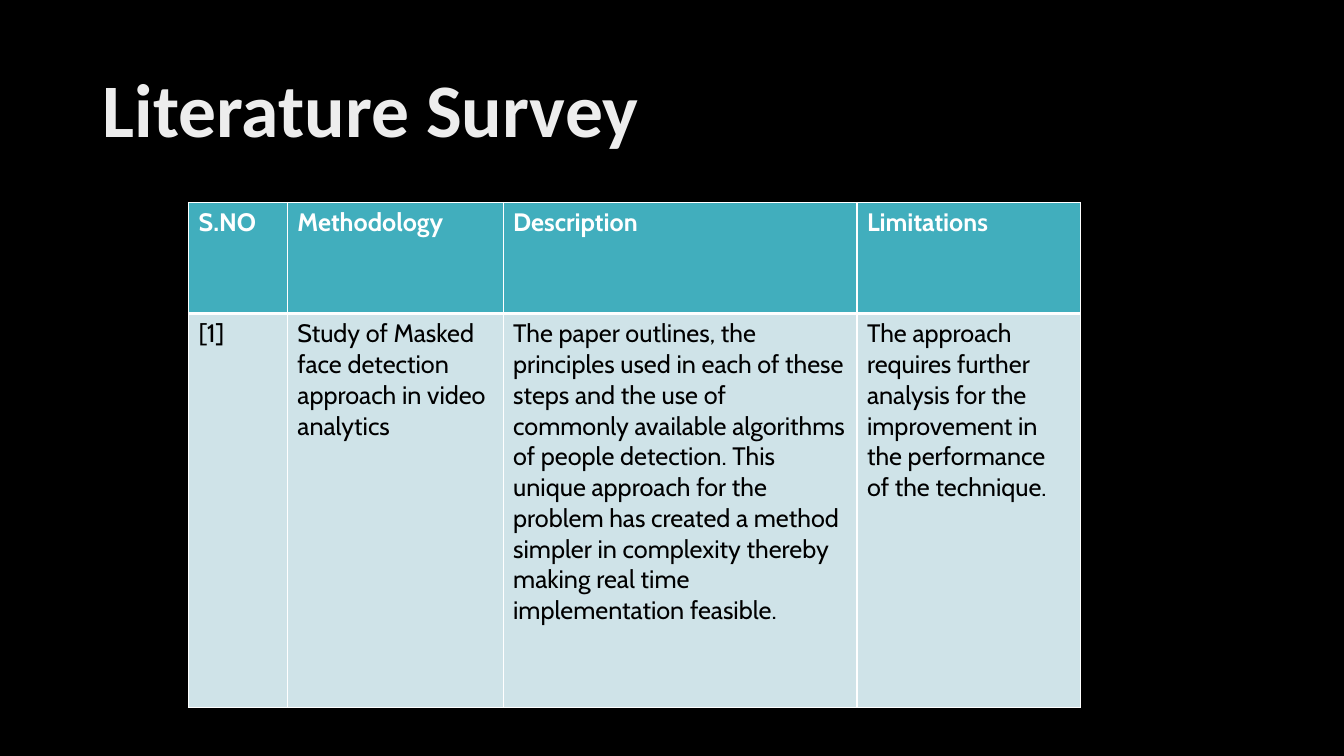
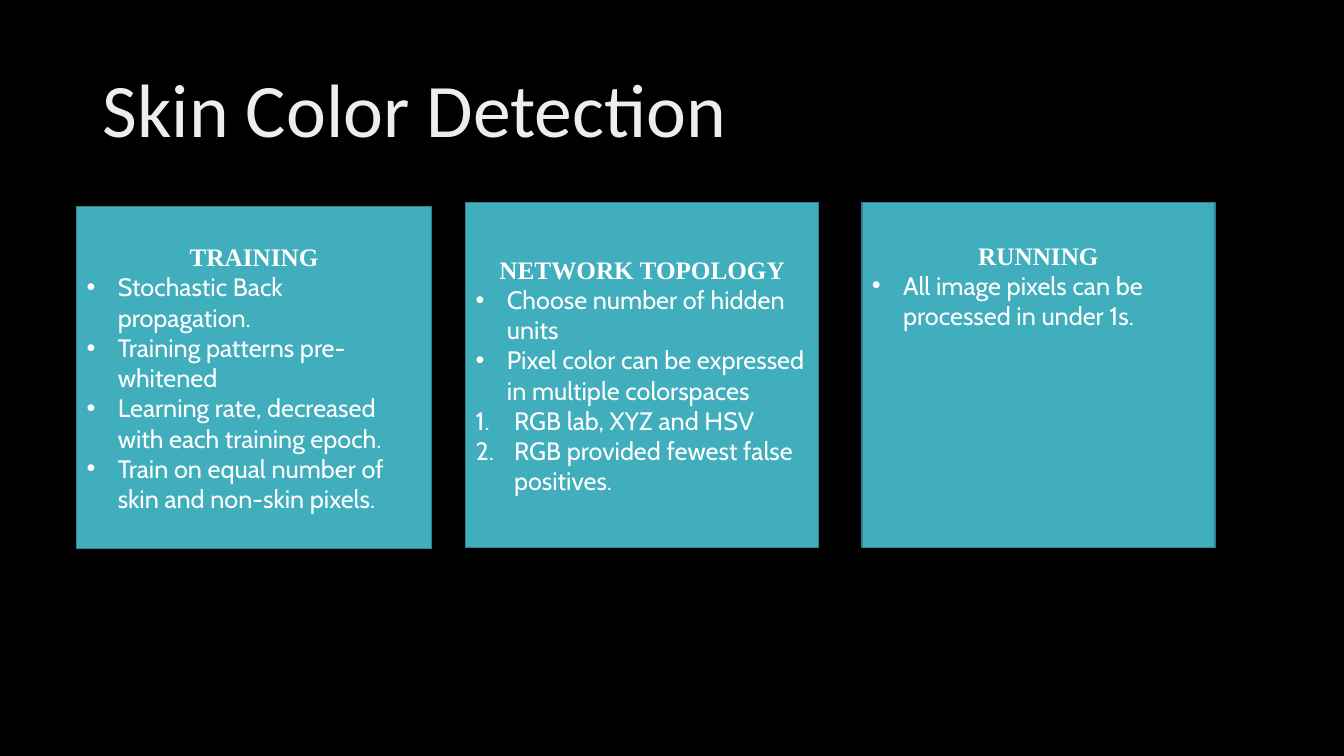
from dataclasses import dataclass

from lxml.etree import SubElement
from pptx import Presentation
from pptx.dml.color import RGBColor
from pptx.enum.shapes import MSO_SHAPE
from pptx.enum.text import MSO_ANCHOR, PP_ALIGN
from pptx.oxml.ns import qn
from pptx.presentation import Presentation as Deck
from pptx.slide import Slide
from pptx.table import _Cell as Cell
from pptx.text.text import _Paragraph as Para
from pptx.util import Inches, Pt

HUES = {
    "back": "000000",
    "title": "EDEDED",
    "teal": "41AEBD",
    "edge": "30818C",
    "pale": "CFE3E8",
    "white": "FFFFFF",
    "black": "000000",
}
BODY = "Cabin"
HEAD = "Times New Roman"
TITLE = "Calibri"


@dataclass(frozen=True)
class Item:
    text: str
    mark: str = "buChar"


@dataclass(frozen=True)
class Card:
    left: float
    top: float
    width: float
    height: float
    head: str
    items: tuple[Item, ...]
    inset: float | None = None


WIDTHS = (0.98, 2.14, 3.51, 2.22)
HEIGHTS = (1.1, 3.91)
ROWS = (
    ("S.NO", "Methodology", "Description", "Limitations"),
    (
        "[1]",
        "Study of Masked face detection approach in video analytics",
        "The paper outlines, the principles used in each of these steps and "
        "the use of commonly available algorithms of people detection. This "
        "unique approach for the problem has created a method simpler in "
        "complexity thereby making real time implementation feasible.",
        "The approach requires further analysis for the improvement in the "
        "performance of the technique.",
    ),
)
CARDS = (
    Card(0.76, 2.05, 3.52, 3.39, "TRAINING", (
        Item("Stochastic Back propagation."),
        Item("Training patterns pre-whitened"),
        Item("Learning rate, decreased with each training epoch."),
        Item("Train on equal number of skin and non-skin pixels."),
    )),
    Card(4.62, 2.01, 3.5, 3.42, "NETWORK TOPOLOGY", (
        Item("Choose number of hidden units"),
        Item("Pixel color can be expressed in multiple colorspaces"),
        Item("RGB lab, XYZ and HSV", "buAutoNum"),
        Item("RGB provided fewest false positives.", "buAutoNum"),
    )),
    Card(8.55, 2.01, 3.5, 3.42, "RUNNING", (
        Item("All image pixels can be processed in under 1s."),
    ), 0.37),
)


def hue(name: str) -> RGBColor:
    return RGBColor.from_string(HUES[name])


def add_run(para: Para, text: str, face: str, tint: str,
            size: float = 18, bold: bool = False) -> None:
    run = para.add_run()
    run.text = text
    font = run.font
    font.name, font.size, font.bold = face, Pt(size), bold
    font.color.rgb = hue(tint)


def add_slide(deck: Deck, text: str, bold: bool) -> Slide:
    slide = deck.slides.add_slide(deck.slide_layouts[5])
    title = slide.shapes.title
    title.left, title.top = Inches(0.92), Inches(0.4)
    title.width, title.height = Inches(11.5), Inches(1.45)
    frame = title.text_frame
    frame.word_wrap = True
    frame.vertical_anchor = MSO_ANCHOR.MIDDLE
    para = frame.paragraphs[0]
    para.alignment = PP_ALIGN.LEFT
    para.line_spacing = 0.9
    add_run(para, text, TITLE, "title", 54, bold)
    return slide


def set_edge(cell: Cell, side: str, width: float) -> None:
    props = cell._tc.get_or_add_tcPr()
    line = SubElement(props, qn(f"a:{side}"), w=str(Pt(width)))
    fill = SubElement(line, qn("a:solidFill"))
    SubElement(fill, qn("a:srgbClr"), val=HUES["white"])


def add_grid(slide: Slide) -> None:
    frame = slide.shapes.add_table(
        len(ROWS), len(WIDTHS), Inches(1.87), Inches(2.01),
        Inches(sum(WIDTHS)), Inches(sum(HEIGHTS)))
    table = frame.table
    table.horz_banding = False
    for col, width in zip(table.columns, WIDTHS):
        col.width = Inches(width)
    for row, height in zip(table.rows, HEIGHTS):
        row.height = Inches(height)
    for down, texts in enumerate(ROWS):
        head = down == 0
        thick = "lnB" if head else "lnT"
        for over, text in enumerate(texts):
            cell = table.cell(down, over)
            for side in ("lnL", "lnR", "lnT", "lnB"):
                set_edge(cell, side, 3 if side == thick else 1)
            cell.fill.solid()
            cell.fill.fore_color.rgb = hue("teal" if head else "pale")
            add_run(cell.text_frame.paragraphs[0], text, BODY,
                    "white" if head else "black", bold=head)


def set_mark(para: Para, mark: str) -> None:
    props = para._p.get_or_add_pPr()
    count = mark == "buAutoNum"
    indent = Inches(0.38 if count else 0.31)
    props.set("marL", str(indent))
    props.set("indent", str(-indent))
    if count:
        SubElement(props, qn("a:buAutoNum"), type="arabicPeriod")
    else:
        SubElement(props, qn("a:buFont"), typeface="Arial")
        SubElement(props, qn("a:buChar"), char="•")


def add_card(slide: Slide, card: Card) -> None:
    box = slide.shapes.add_shape(
        MSO_SHAPE.RECTANGLE, Inches(card.left), Inches(card.top),
        Inches(card.width), Inches(card.height))
    box.shadow.inherit = False
    box.fill.solid()
    box.fill.fore_color.rgb = hue("teal")
    box.line.color.rgb = hue("edge")
    box.line.width = Pt(1)
    frame = box.text_frame
    frame.word_wrap = True
    frame.vertical_anchor = MSO_ANCHOR.MIDDLE
    if card.inset is not None:
        frame.vertical_anchor = MSO_ANCHOR.TOP
        frame.margin_top = Inches(card.inset)
    para = frame.paragraphs[0]
    para.alignment = PP_ALIGN.CENTER
    add_run(para, card.head, HEAD, "white", bold=True)
    for item in card.items:
        para = frame.add_paragraph()
        para.alignment = PP_ALIGN.LEFT
        set_mark(para, item.mark)
        add_run(para, item.text, BODY, "white")


def main() -> None:
    deck = Presentation()
    deck.slide_width, deck.slide_height = Inches(13.33), Inches(7.5)
    back = deck.slide_master.background.fill
    back.solid()
    back.fore_color.rgb = hue("back")
    add_grid(add_slide(deck, "Literature Survey", True))
    slide = add_slide(deck, "Skin Color Detection", False)
    for card in CARDS:
        add_card(slide, card)
    deck.save("out.pptx")


if __name__ == "__main__":
    main()
